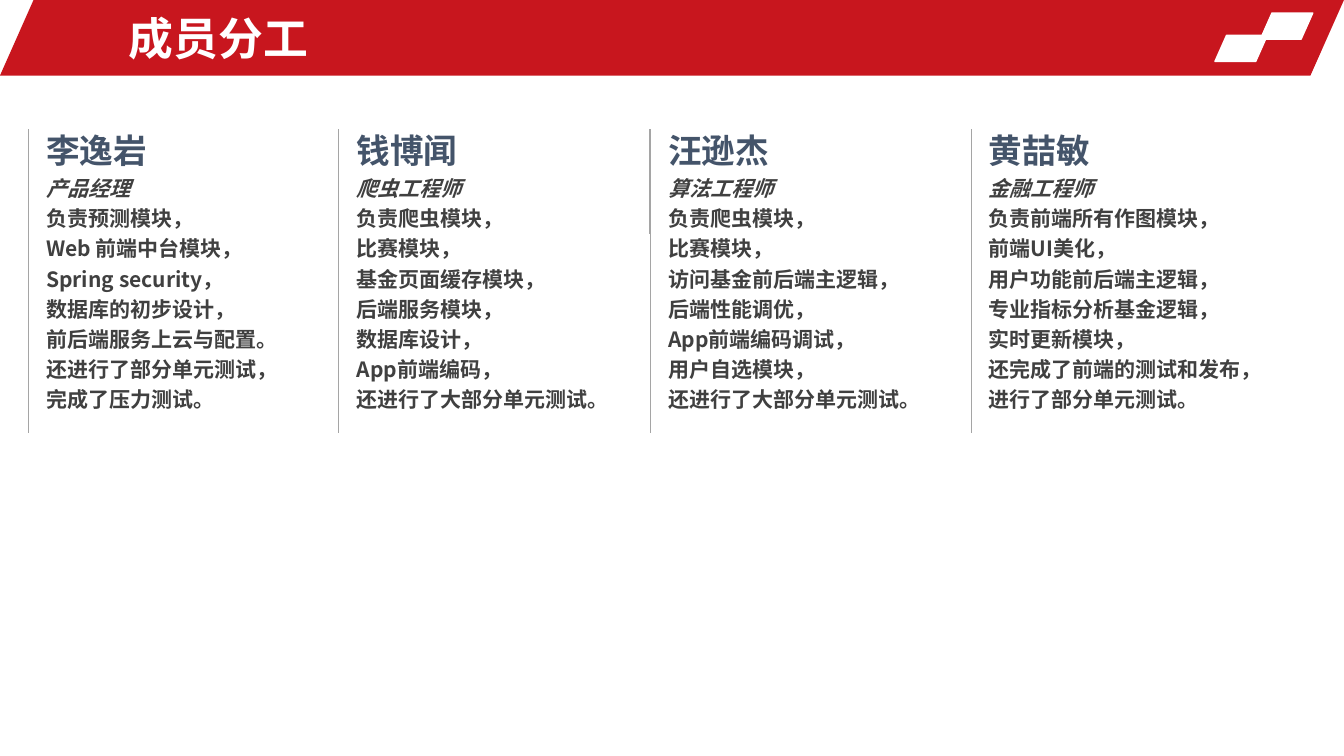
from lxml import etree
from pptx import Presentation
from pptx.dml.color import RGBColor
from pptx.enum.shapes import MSO_CONNECTOR, MSO_SHAPE
from pptx.enum.text import MSO_ANCHOR, MSO_AUTO_SIZE
from pptx.oxml.ns import qn
from pptx.util import Inches, Pt

PARALLELOGRAM = MSO_SHAPE.PARALLELOGRAM
STRAIGHT = MSO_CONNECTOR.STRAIGHT
MIDDLE = MSO_ANCHOR.MIDDLE
FIT_SHAPE = MSO_AUTO_SIZE.SHAPE_TO_FIT_TEXT

COLORS = {"red": "C8161E", "white": "FFFFFF", "name": "44546A",
          "body": "404040", "rule": "A5A5A5"}
HEADING_FONT = "Arial"
BODY_FONT = "Noto Sans CJK SC"

# Left edge of each column's rule, name, role, duties
MEMBERS = [
    (0.28, "李逸岩", "产品经理",
     ["负责预测模块，", "Web 前端中台模块，", "Spring security，", "数据库的初步设计，",
      "前后端服务上云与配置。", "还进行了部分单元测试，", "完成了压力测试。"]),
    (3.36, "钱博闻", "爬虫工程师",
     ["负责爬虫模块，", "比赛模块，", "基金页面缓存模块，", "后端服务模块，",
      "数据库设计，", "App前端编码，", "还进行了大部分单元测试。"]),
    (6.45, "汪逊杰", "算法工程师",
     ["负责爬虫模块，", "比赛模块，", "访问基金前后端主逻辑，", "后端性能调优，",
      "App前端编码调试，", "用户自选模块，", "还进行了大部分单元测试。"]),
    (9.63, "黄喆敏", "金融工程师",
     ["负责前端所有作图模块，", "前端UI美化，", "用户功能前后端主逻辑，", "专业指标分析基金逻辑，",
      "实时更新模块，", "还完成了前端的测试和发布，", "进行了部分单元测试。"]),
]


def color(name):
    return RGBColor.from_string(COLORS[name])


def format_run(run, size, color_name, font_name, italic=False):
    font = run.font
    font.size = Pt(size)
    font.bold = True
    font.italic = italic
    font.color.rgb = color(color_name)
    font.name = font_name
    east_asian = etree.SubElement(run._r.get_or_add_rPr(), qn("a:ea"))
    east_asian.set("typeface", BODY_FONT)


def add_parallelogram(slide, left, top, width, height, fill, line=None):
    shape = slide.shapes.add_shape(PARALLELOGRAM, Inches(left), Inches(top),
                                   Inches(width), Inches(height))
    shape.adjustments[0] = 0.444
    shape.shadow.inherit = False
    shape.fill.solid()
    shape.fill.fore_color.rgb = color(fill)
    if line:
        shape.line.color.rgb = color(line)
        shape.line.width = Pt(1)
    else:
        shape.line.fill.background()


def add_rule(slide, left, top, height):
    rule = slide.shapes.add_connector(STRAIGHT, Inches(left), Inches(top),
                                      Inches(left), Inches(top + height))
    rule.line.color.rgb = color("rule")
    rule.line.width = Pt(0.5)
    etree.SubElement(rule._element.spPr, qn("a:effectLst"))


def add_header(slide, left, top, width, height, title):
    add_parallelogram(slide, left, top, width, height, "red")
    for offset_x, offset_y in [(12.5, 0.13), (12.05, 0.35)]:
        add_parallelogram(slide, left + offset_x, top + offset_y, 0.52, 0.26,
                          "white", "white")
    box = slide.shapes.add_textbox(Inches(left + 1.18), Inches(top + 0.05),
                                   Inches(7.74), Inches(height - 0.1))
    text_frame = box.text_frame
    text_frame.word_wrap = True
    text_frame.vertical_anchor = MIDDLE
    text_frame.text = title
    format_run(text_frame.paragraphs[0].runs[0], 32, "white", HEADING_FONT)


def add_member(slide, left, top, width, height, name, role, duties):
    """Draw a rule with the member's name, role and duties to its right."""
    add_rule(slide, left, top + 0.12, 3.02)
    box = slide.shapes.add_textbox(Inches(left + 0.08), Inches(top),
                                   Inches(width), Inches(height))
    text_frame = box.text_frame
    text_frame.word_wrap = True
    text_frame.auto_size = FIT_SHAPE
    text_frame.text = "\n".join([name, role, *duties])
    for index, paragraph in enumerate(text_frame.paragraphs):
        paragraph.line_spacing = 1.2
        run = paragraph.runs[0]
        if index == 0:
            format_run(run, 24, "name", HEADING_FONT)
        else:
            format_run(run, 15, "body", BODY_FONT, italic=index == 1)


def main():
    presentation = Presentation()
    presentation.slide_width = Inches(13.33)
    presentation.slide_height = Inches(7.5)
    slide = presentation.slides.add_slide(presentation.slide_layouts[6])
    add_header(slide, 0, 0, 13.33, 0.75, "成员分工")
    for left, name, role, duties in MEMBERS:
        add_member(slide, left, 1.16, 3, 3.29, name, role, duties)
    add_rule(slide, 6.44, 1.28, 1.04)
    presentation.save("out.pptx")


if __name__ == "__main__":
    main()
